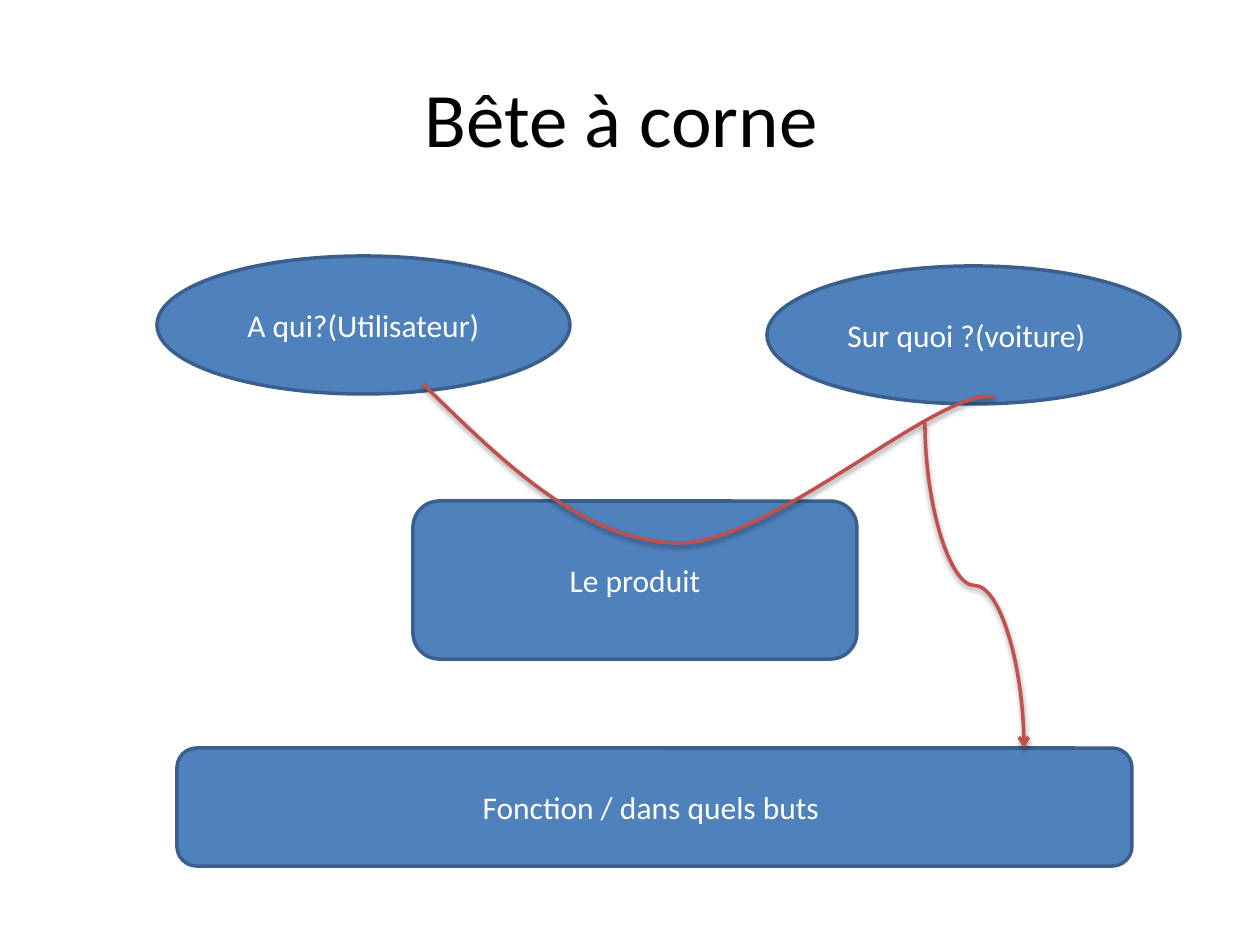
import pptx
import pptx.util
import pptx.dml.color
import pptx.enum.shapes
import pptx.enum.text
import pptx.oxml
import pptx.oxml.ns

RGB = pptx.dml.color.RGBColor
SHAPE = pptx.enum.shapes.MSO_SHAPE
CURVE = pptx.enum.shapes.MSO_CONNECTOR.CURVE
ANCHOR = pptx.enum.text.MSO_ANCHOR
ALIGN = pptx.enum.text.PP_ALIGN
qn = pptx.oxml.ns.qn

BLACK = RGB(0x00, 0x00, 0x00)
WHITE = RGB(0xFF, 0xFF, 0xFF)
BLUE = RGB(0x4F, 0x81, 0xBD)
DARK_BLUE = RGB(0x3A, 0x5F, 0x8C)
RED = RGB(0xC0, 0x50, 0x4D)

NS = 'xmlns:a="http://schemas.openxmlformats.org/drawingml/2006/main"'
SHADOW = (f'<a:effectLst {NS}><a:outerShdw blurRad="40000" dist="20000" dir="5400000" '
          'rotWithShape="0"><a:srgbClr val="000000"><a:alpha val="38000"/></a:srgbClr>'
          '</a:outerShdw></a:effectLst>')
ARROW = f'<a:tailEnd {NS} type="arrow"/>'


def px(n):
    """Turn picture pixels into EMU."""
    return pptx.util.Emu(round(n * 914400 / 126))


class Diagram:
    """Holds the style and the current slide."""

    font = "Calibri"
    line_width = pptx.util.Pt(2)

    def __init__(self, prs):
        """Add a blank slide."""
        self.shapes = prs.slides.add_slide(prs.slide_layouts[6]).shapes

    def label(self, sp, text, size, color):
        """Put one centred line of text in a shape."""
        tf = sp.text_frame
        tf.word_wrap = True
        tf.vertical_anchor = ANCHOR.MIDDLE
        p = tf.paragraphs[0]
        p.alignment = ALIGN.CENTER
        r = p.add_run()
        r.text = text
        for name, value in {"name": self.font, "size": pptx.util.Pt(size)}.items():
            setattr(r.font, name, value)
        r.font.color.rgb = color

    def outline(self, sp, color):
        """Set the line of a shape or connector."""
        sp.line.color.rgb = color
        sp.line.width = self.line_width

    def title(self, text, *box):
        """Add the slide title."""
        self.label(self.shapes.add_textbox(*map(px, box)), text, 44, BLACK)

    def node(self, kind, text, *box):
        """Add a labelled blue shape."""
        sp = self.shapes.add_shape(kind, *map(px, box))
        sp.shadow.inherit = False
        sp.fill.solid()
        sp.fill.fore_color.rgb = BLUE
        self.outline(sp, DARK_BLUE)
        self.label(sp, text, 18, WHITE)

    def horn(self, start, *points):
        """Draw an open Bezier curve: every three points make one segment."""
        fb = self.shapes.build_freeform(*map(px, start))
        fb.add_line_segments([tuple(map(px, pt)) for pt in points], close=False)
        sp = fb.convert_to_shape()
        sp.fill.background()
        self.outline(sp, RED)
        spPr = sp.element.spPr
        outline = next(spPr.iter(qn("a:path")))
        lines = outline.findall(qn("a:lnTo"))
        for i in range(0, len(lines), 3):
            bezier = pptx.oxml.parse_xml(f"<a:cubicBezTo {NS}/>")
            for line in lines[i:i + 3]:
                bezier.append(line[0])
                outline.remove(line)
            outline.append(bezier)
        spPr.append(pptx.oxml.parse_xml(SHADOW))

    def down_arrow(self, x1, y1, x2, y2):
        """Draw a curved arrow that leaves and arrives vertically."""
        cx, cy = (x1 + x2) / 2, (y1 + y2) / 2
        half_w, half_h = (y2 - y1) / 2, (x2 - x1) / 2
        c = self.shapes.add_connector(CURVE, px(cx + half_w), px(cy - half_h),
                                      px(cx - half_w), px(cy + half_h))
        self.outline(c, RED)
        spPr = c.element.spPr
        spPr.find(qn("a:xfrm")).set("rot", str(270 * 60000))
        spPr.find(qn("a:ln")).append(pptx.oxml.parse_xml(ARROW))
        spPr.append(pptx.oxml.parse_xml(SHADOW))


prs = pptx.Presentation()
prs.slide_width, prs.slide_height = px(1260), px(945)

d = Diagram(prs)
d.title("Bête à corne ", 63, 38, 1134, 158)
for node in (
    (SHAPE.ROUNDED_RECTANGLE, "Le produit", 413, 501, 444, 158),
    (SHAPE.OVAL, "Sur quoi ?(voiture)\t", 767, 266, 413, 138),
    (SHAPE.OVAL, "A qui?(Utilisateur)", 157, 256, 413, 138),
    (SHAPE.ROUNDED_RECTANGLE, "Fonction / dans quels buts ", 177, 748, 955, 118),
):
    d.node(*node)
d.horn((423, 384), (503, 462), (582, 541), (678, 543),
       (772, 544), (940, 386), (994, 397))
d.down_arrow(925, 423, 1024, 748)

prs.save("out.pptx")
